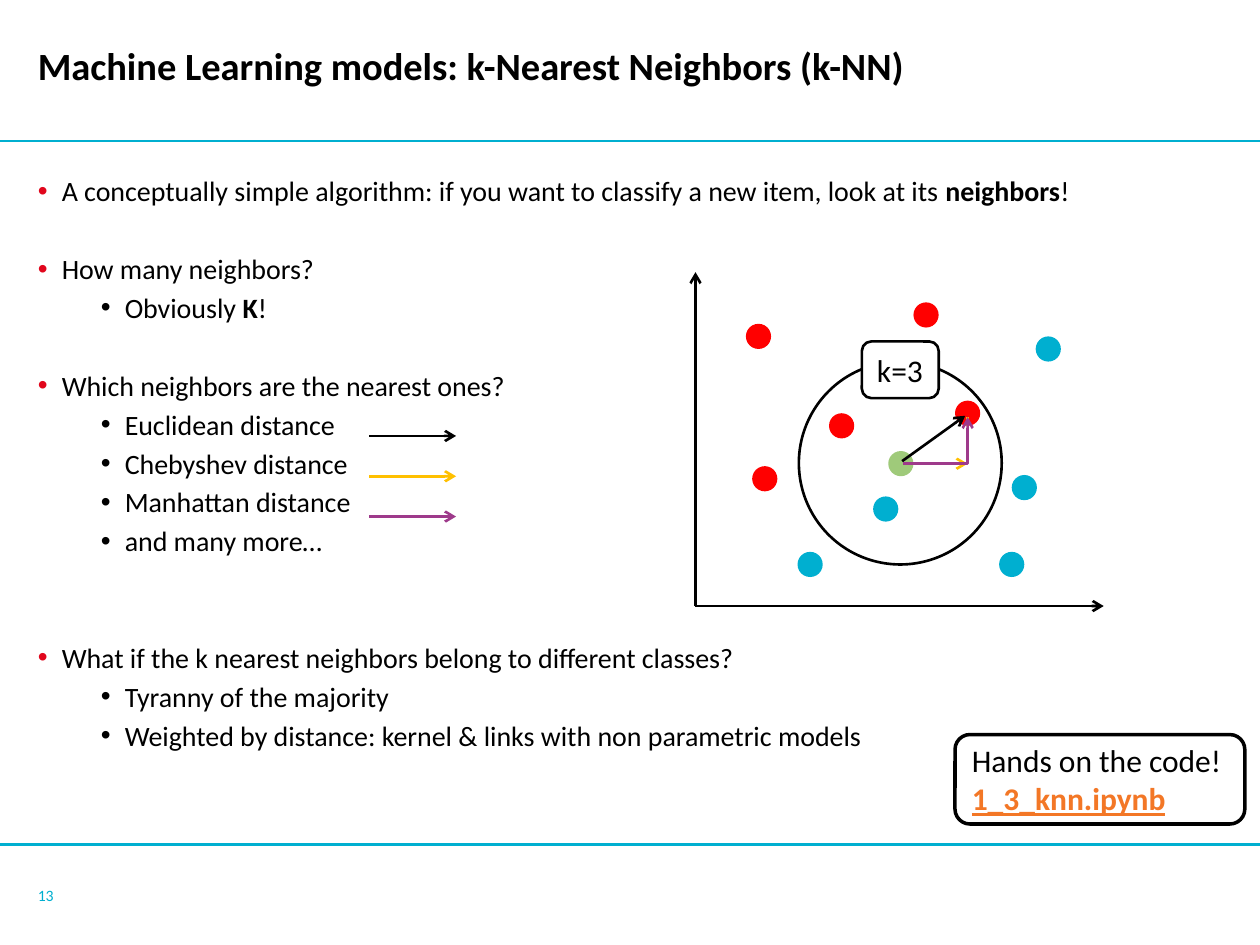
from dataclasses import dataclass
from lxml.etree import SubElement as Sub
from pptx import Presentation
from pptx.dml.color import RGBColor as RGB
from pptx.enum.dml import MSO_LINE as Dash
from pptx.enum.shapes import MSO_CONNECTOR as Conn, MSO_SHAPE as Geo
from pptx.enum.text import MSO_ANCHOR as Anchor, MSO_AUTO_SIZE as Fit, PP_ALIGN as Align
from pptx.oxml.ns import qn
from pptx.util import Inches, Pt


@dataclass
class Theme:
    font: str = "Calibri"
    black: str = "000000"
    white: str = "FFFFFF"
    cyan: str = "00AFD0"
    red: str = "FF0000"
    bullet: str = "E1061C"
    green: str = "9FCA7A"
    gold: str = "FFC000"
    plum: str = "9E3A8B"
    orange: str = "F37726"
    title: int = 22
    body: int = 16
    label: int = 18
    small: int = 9


theme = Theme()


def ink(shape, color, width=1.5, tail=False, dash=None):
    """Colour an outline, add its arrowhead and switch the shadow off."""
    shape.line.color.rgb = RGB.from_string(color)
    shape.line.width = Pt(width)
    if dash:
        shape.line.dash_style = dash
    props = shape._element.spPr
    if tail:
        Sub(props.find(qn("a:ln")), qn("a:tailEnd"), type="arrow")
    Sub(props, qn("a:effectLst"))


def dress(para, size, color=theme.black, bold=False):
    """Format every run of a paragraph."""
    para.alignment = Align.LEFT
    for run in para.runs:
        run.font.name = theme.font
        run.font.size = Pt(size)
        run.font.bold = bold
        run.font.color.rgb = RGB.from_string(color)


deck = Presentation()
deck.slide_width, deck.slide_height = Inches(10), Inches(7.5)
slide = deck.slides.add_slide(deck.slide_layouts[1])
shapes = slide.shapes

# Rules above and below the content
for y in (1.12, 6.7):
    rule = shapes.add_connector(Conn.STRAIGHT, 0, Inches(y), Inches(10), Inches(y))
    ink(rule, theme.cyan)

# Title, list and page number share a left edge and have no insets
title, body = slide.placeholders
number = shapes.add_textbox(0, 0, 0, 0)
for box, top, width, height, anchor in (
    (title, 0, 9.5, 1.1, Anchor.MIDDLE),
    (body, 1.38, 9.5, 5.12, Anchor.TOP),
    (number, 6.91, 0.3, 0.39, Anchor.MIDDLE),
):
    box.left, box.top = Inches(0.3), Inches(top)
    box.width, box.height = Inches(width), Inches(height)
    frame = box.text_frame
    frame.margin_left = frame.margin_right = frame.margin_top = frame.margin_bottom = 0
    frame.auto_size = Fit.NONE
    frame.word_wrap = True
    frame.vertical_anchor = anchor

title.text_frame.text = "Machine Learning models: k-Nearest Neighbors (k-NN)"
head = title.text_frame.paragraphs[0]
head.line_spacing = Pt(22)
dress(head, theme.title, bold=True)
number.text_frame.text = "13"
dress(number.text_frame.paragraphs[0], theme.small, theme.cyan)

# List: level, space before in points, text with bold parts between bars
items = [
    (0, 0, "A conceptually simple algorithm: if you want to classify a new item, look at its |neighbors|!"),
    (0, 25.3, "How many neighbors?"),
    (1, 3, "Obviously |K|!"),
    (0, 25.3, "Which neighbors are the nearest ones?"),
    (1, 3, "Euclidean distance"),
    (1, 3, "Chebyshev distance"),
    (1, 3, "Manhattan distance"),
    (1, 3, "and many more…"),
    (0, 47.5, "What if the k nearest neighbors belong to different classes?"),
    (1, 3, "Tyranny of the majority"),
    (1, 3, "Weighted by distance: kernel & links with non parametric models"),
]
frame = body.text_frame
for i, (level, gap, text) in enumerate(items):
    para = frame.add_paragraph() if i else frame.paragraphs[0]
    para.level = level
    para.space_before = Pt(gap)
    props = para._p.get_or_add_pPr()
    props.set("marL", str(Inches(0.69 if level else 0.19)))
    props.set("indent", str(Inches(-0.19)))
    tint = Sub(props, qn("a:buClr"))
    Sub(tint, qn("a:srgbClr"), val=theme.black if level else theme.bullet)
    Sub(props, qn("a:buFont"), typeface="Arial")
    Sub(props, qn("a:buChar"), char="•")
    for part in text.split("|"):
        para.add_run().text = part
    dress(para, theme.body)
    for run in para.runs[1::2]:
        run.font.bold = True

# Neighbourhood circle
ring = shapes.add_shape(Geo.OVAL, Inches(6.34), Inches(2.87), Inches(1.61), Inches(1.61))
ring.fill.solid()
ring.fill.fore_color.rgb = RGB.from_string(theme.white)
ink(ring, theme.black)

# Sample points, by class
dots = {
    theme.green: [(7.05, 3.58)],
    theme.red: [(6.58, 3.28), (7.58, 3.18), (5.97, 3.7), (5.92, 2.57), (7.25, 2.4)],
    theme.cyan: [(6.93, 3.94), (8.03, 3.77), (7.93, 4.38), (6.33, 4.38), (8.22, 2.67)],
}
for color, spots in dots.items():
    for x, y in spots:
        dot = shapes.add_shape(Geo.OVAL, Inches(x), Inches(y), Inches(0.2), Inches(0.2))
        dot.shadow.inherit = False
        dot.fill.solid()
        dot.fill.fore_color.rgb = RGB.from_string(color)
        dot.line.fill.background()

# Label and code boxes
boxes = [
    (6.84, 2.71, 0.61, 0.45, 1.5, "k=3"),
    (7.58, 5.83, 2.3, 0.71, 2, "Hands on the code!\n1_3_knn.ipynb"),
]
for x, y, width, height, weight, text in boxes:
    box = shapes.add_shape(Geo.ROUNDED_RECTANGLE, Inches(x), Inches(y), Inches(width), Inches(height))
    box.fill.solid()
    box.fill.fore_color.rgb = RGB.from_string(theme.white)
    ink(box, theme.black, weight)
    frame = box.text_frame
    frame.word_wrap = "\n" in text
    frame.vertical_anchor = Anchor.MIDDLE
    frame.text = text
    for para in frame.paragraphs:
        dress(para, theme.label)
file = frame.paragraphs[1]
dress(file, theme.label, theme.orange, bold=True)
file.runs[0].font.underline = True

# Axes, distances in the plot, and their legend
lines = [
    (5.52, 4.81, 8.76, 4.81, theme.black, None),
    (5.52, 4.81, 5.52, 2.16, theme.black, None),
    (7.16, 3.66, 7.66, 3.3, theme.black, None),
    (7.17, 3.68, 7.68, 3.68, theme.gold, None),
    (7.68, 3.67, 7.68, 3.31, theme.gold, Dash.DASH),
]
for i, color in enumerate((theme.black, theme.gold, theme.plum)):
    y = 3.46 + 0.32 * i
    lines.append((2.93, y, 3.62, y, color, None))
for x1, y1, x2, y2, color, dash in lines:
    line = shapes.add_connector(Conn.STRAIGHT, Inches(x1), Inches(y1), Inches(x2), Inches(y2))
    ink(line, color, tail=dash is None, dash=dash)

# Manhattan distance: along, then up
pen = shapes.build_freeform(Inches(7.17), Inches(3.68))
pen.add_line_segments([(Inches(7.68), Inches(3.68)), (Inches(7.68), Inches(3.31))], close=False)
route = pen.convert_to_shape()
route.fill.background()
ink(route, theme.plum, tail=True)

deck.save("out.pptx")
